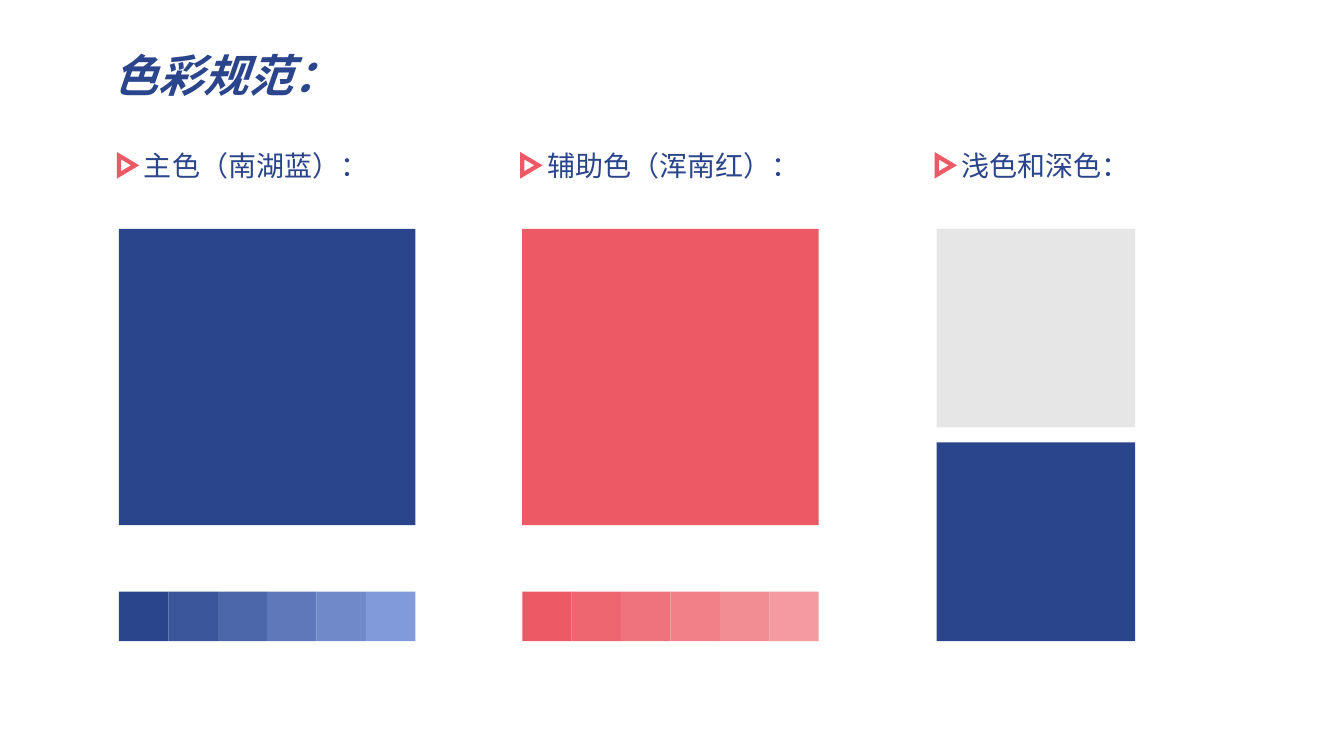
import pptx
import pptx.dml.color
import pptx.enum.shapes
import pptx.enum.text
import pptx.oxml.ns
import pptx.util
from lxml import etree

Inches = pptx.util.Inches
Shape = pptx.enum.shapes.MSO_SHAPE
FONT = "Noto Sans CJK SC"
BLUE, RED, GREY = "2A458C", "ED5A65", "E6E6E6"

LABEL_TOP, SWATCH_TOP, STRIP_TOP = 1.42, 2.27, 5.87
LARGE, SMALL, SHADE = 2.94, 1.97, 0.49
SMALL_STEP = 2.12

# Left edge, label, label width, large swatch colour, shades
PALETTES = [
    (1.18, "主色（南湖蓝）：", 2.67, BLUE,
     [BLUE, "3B569B", "4C67AA", "5E78BA", "6F89C9", "819AD9"]),
    (5.18, "辅助色（浑南红）：", 2.67, RED,
     [RED, "EE6670", "EF737C", "F18088", "F28D94", "F49AA0"]),
    (9.29, "浅色和深色：", 1.85, None, []),
]


def write(box, text, size, bold=False, italic=False, color=BLUE):
    frame = box.text_frame
    frame.word_wrap = True
    frame.auto_size = pptx.enum.text.MSO_AUTO_SIZE.SHAPE_TO_FIT_TEXT
    frame.vertical_anchor = pptx.enum.text.MSO_ANCHOR.TOP
    para = frame.paragraphs[0]
    para.alignment = pptx.enum.text.PP_ALIGN.LEFT
    span = para.add_run()
    span.text = text
    font = span.font
    font.name, font.size = FONT, pptx.util.Pt(size)
    font.bold, font.italic = bold, italic
    font.color.rgb = pptx.dml.color.RGBColor.from_string(color)
    east_asian = etree.SubElement(font._element, pptx.oxml.ns.qn("a:ea"))
    east_asian.set("typeface", FONT)


def add_swatch(left, top, side, color):
    """Draw a borderless square of one palette colour."""
    swatch = page.shapes.add_shape(
        Shape.RECTANGLE, Inches(left), Inches(top), Inches(side), Inches(side))
    swatch.shadow.inherit = False
    swatch.fill.solid()
    swatch.fill.fore_color.rgb = pptx.dml.color.RGBColor.from_string(color)
    swatch.line.fill.background()


deck = pptx.Presentation()
deck.slide_width, deck.slide_height = Inches(13.33), Inches(7.5)
page = deck.slides.add_slide(deck.slide_layouts[5])

title = page.shapes.title
title.left, title.top = Inches(1.03), Inches(0.42)
title.width, title.height = Inches(2.98), Inches(0.64)
write(title, "色彩规范：", 32, bold=True, italic=True)

for left, label, label_width, main_color, shades in PALETTES:
    marker = page.shapes.add_shape(
        Shape.ISOSCELES_TRIANGLE, Inches(left - 0.015), Inches(1.56),
        Inches(0.19), Inches(0.16))
    marker.rotation = 90
    marker.shadow.inherit = False
    marker.fill.background()
    marker.line.width = pptx.util.Pt(3)
    marker.line.color.rgb = pptx.dml.color.RGBColor.from_string(RED)
    outline = marker.line._get_or_add_ln()
    etree.SubElement(outline, pptx.oxml.ns.qn("a:miter")).set("lim", "800000")

    box = page.shapes.add_textbox(
        Inches(left + 0.15), Inches(LABEL_TOP), Inches(label_width), Inches(0.44))
    write(box, label, 20)

    if main_color:
        add_swatch(left, SWATCH_TOP, LARGE, main_color)
    else:
        for row, color in enumerate([GREY, BLUE]):
            add_swatch(left, SWATCH_TOP + row * SMALL_STEP, SMALL, color)
    for column, color in enumerate(shades):
        add_swatch(left + column * SHADE, STRIP_TOP, SHADE, color)

deck.save("out.pptx")
